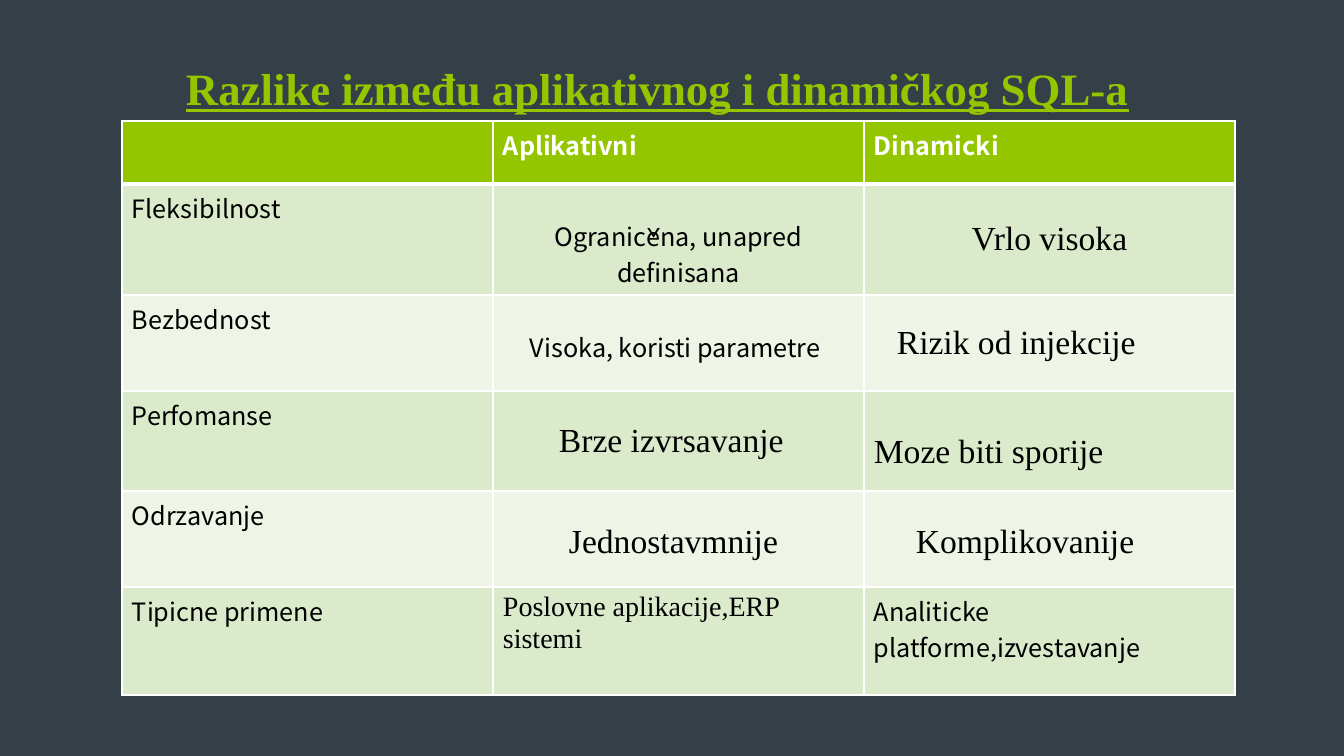
from lxml import etree
from pptx import Presentation
from pptx import util as u
from pptx.dml.color import RGBColor
from pptx.enum import text as t
from pptx.oxml import ns

SCALE = 914400 / 100.8
SLATE = RGBColor(0x35, 0x3F, 0x48)
LIME = RGBColor(0x94, 0xC6, 0x00)
BAND_DARK = RGBColor(0xDC, 0xEA, 0xCC)
BAND_LIGHT = RGBColor(0xEE, 0xF5, 0xE7)
WHITE = RGBColor(0xFF, 0xFF, 0xFF)
BLACK = RGBColor(0, 0, 0)
SANS = "Noto Sans CJK SC"
SERIF = "Times New Roman"

COLUMN_WIDTH = 371
ROW_HEIGHTS = [63, 111, 96, 100, 96, 108]
HEADER = {"color": WHITE, "bold": True}
LARGE = {"font": SERIF, "size": 24}
MIDDLE = {"anchor": t.MSO_ANCHOR.MIDDLE, "top": 0, "right": 0, "bottom": 0}
CENTER = {"align": t.PP_ALIGN.CENTER}

ROWS = [
    [("", HEADER), ("Aplikativni", HEADER), ("Dinamicki", HEADER)],
    [("Fleksibilnost", {}),
     ("Ograničena, unapred definisana", {**CENTER, "top": 33}),
     ("Vrlo visoka", {**LARGE, **MIDDLE, **CENTER, "left": 0})],
    [("Bezbednost", {}),
     ("Visoka, koristi parametre", {"left": 37, "top": 33}),
     ("Rizik od injekcije", {**LARGE, **MIDDLE, "left": 33})],
    [("Perfomanse", {}),
     ("Brze izvrsavanje", {**LARGE, **MIDDLE, "left": 66}),
     ("Moze biti sporije", {**LARGE, "top": 43})],
    [("Odrzavanje", {}),
     ("Jednostavmnije", {**LARGE, "left": 76, "top": 33}),
     ("Komplikovanije", {**LARGE, "left": 52, "top": 33})],
    [("Tipicne primene", {}),
     ("Poslovne aplikacije,ERP sistemi", {"font": SERIF, "size": 20}),
     ("Analiticke platforme,izvestavanje", {})],
]


def px(length):
    return u.Emu(round(length * SCALE))


def write(frame, text, font=SANS, size=18, color=BLACK, bold=False,
          underline=False, align=t.PP_ALIGN.LEFT):
    frame.word_wrap = True
    para = frame.paragraphs[0]
    para.alignment = align
    para.font.size = u.Pt(size)
    if not text:
        return
    span = para.add_run()
    span.text = text
    span.font.name = font
    span.font.size = u.Pt(size)
    span.font.bold = bold
    span.font.underline = underline
    span.font.color.rgb = color
    for tag in ("a:ea", "a:cs"):
        etree.SubElement(span.font._element, ns.qn(tag), typeface=font)


def set_margins(target, left=10, top=5, right=10, bottom=5):
    target.margin_left = px(left)
    target.margin_top = px(top)
    target.margin_right = px(right)
    target.margin_bottom = px(bottom)


def add_title(page, text):
    box = page.shapes.add_textbox(px(176), px(51), px(1068), px(90))
    set_margins(box.text_frame, top=10)
    write(box.text_frame, text, font=SERIF, size=32, color=LIME,
          bold=True, underline=True)


def add_borders(cell, **widths):
    properties = cell._tc.get_or_add_tcPr()
    for side in "LRTB":
        line = etree.SubElement(properties, ns.qn(f"a:ln{side}"),
                                w=str(u.Pt(widths.get(side, 1))))
        fill = etree.SubElement(line, ns.qn("a:solidFill"))
        etree.SubElement(fill, ns.qn("a:srgbClr"), val=str(WHITE))


def fill_cell(cell, text, fill, borders, anchor=t.MSO_ANCHOR.TOP,
              left=10, top=5, right=10, bottom=5, **style):
    add_borders(cell, **borders)
    cell.fill.solid()
    cell.fill.fore_color.rgb = fill
    cell.vertical_anchor = anchor
    set_margins(cell, left, top, right, bottom)
    write(cell.text_frame, text, **style)


def add_comparison(page):
    table = page.shapes.add_table(len(ROWS), 3, px(122), px(121),
                                  px(3 * COLUMN_WIDTH),
                                  px(sum(ROW_HEIGHTS))).table
    table.first_row = False
    table.horz_banding = False
    for column in table.columns:
        column.width = px(COLUMN_WIDTH)
    for index, (height, entries) in enumerate(zip(ROW_HEIGHTS, ROWS)):
        table.rows[index].height = px(height)
        band = BAND_DARK if index % 2 else BAND_LIGHT
        fill = band if index else LIME
        borders = {0: {"B": 3}, 1: {"T": 3}}.get(index, {})
        for cell, (text, style) in zip(table.rows[index].cells, entries):
            fill_cell(cell, text, fill, borders, **style)


def main():
    deck = Presentation()
    deck.slide_width, deck.slide_height = px(1344), px(756)
    page = deck.slides.add_slide(deck.slide_layouts[6])
    page.background.fill.solid()
    page.background.fill.fore_color.rgb = SLATE
    add_title(page, "Razlike između aplikativnog i dinamičkog SQL-a")
    add_comparison(page)
    deck.save("out.pptx")


if __name__ == "__main__":
    main()
